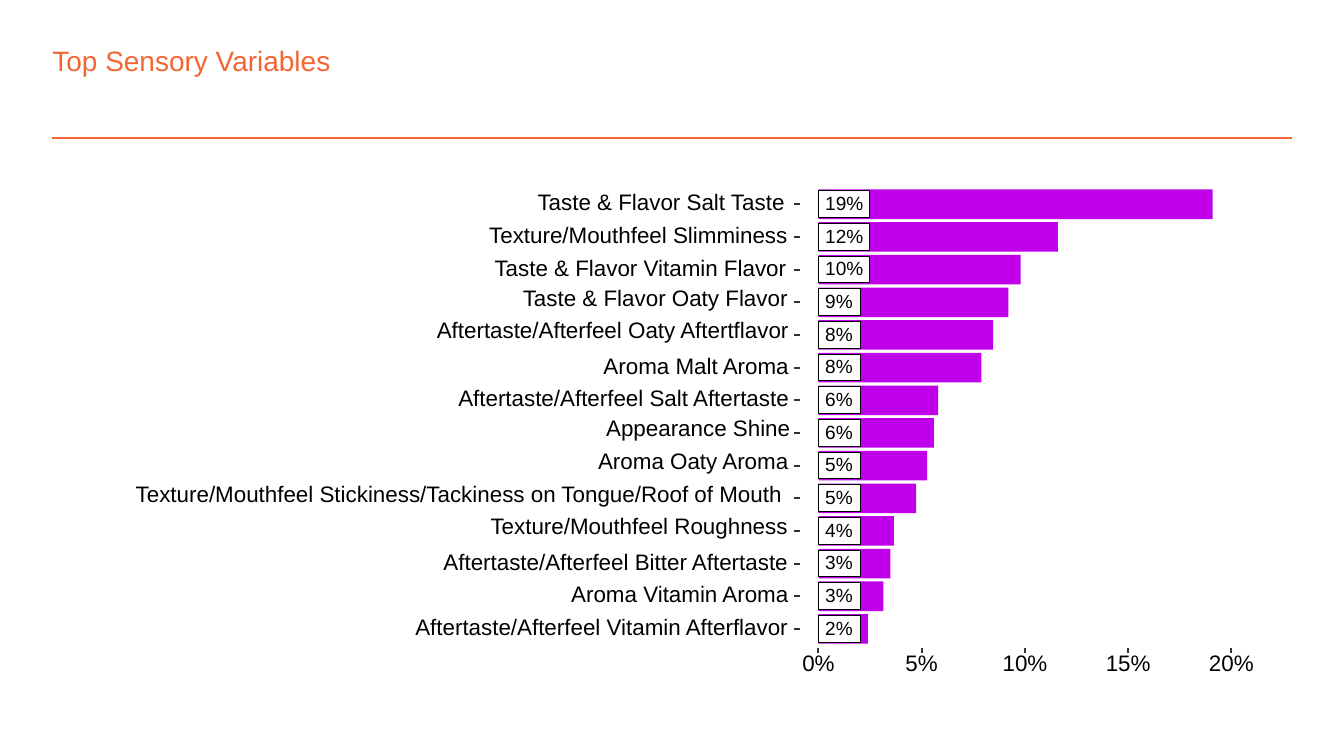
from pptx import Presentation
from pptx.dml.color import RGBColor
from pptx.enum.shapes import MSO_CONNECTOR, MSO_SHAPE
from pptx.enum.text import MSO_ANCHOR, PP_ALIGN
from pptx.oxml.ns import qn
from pptx.util import Inches, Pt

LINE = MSO_CONNECTOR.STRAIGHT
RECT = MSO_SHAPE.RECTANGLE
TOP, MIDDLE = MSO_ANCHOR.TOP, MSO_ANCHOR.MIDDLE
LEFT = PP_ALIGN.LEFT

ORANGE = RGBColor(0xF3, 0x66, 0x33)
PURPLE = RGBColor(0xC0, 0x00, 0xEB)
WHITE = RGBColor(0xFF, 0xFF, 0xFF)
BLACK = RGBColor(0x00, 0x00, 0x00)
GREY = RGBColor(0x33, 0x33, 0x33)

ZERO = 6.09
SCALE = 3.07 / 20
FIRST = 1.52
STEP = 3.16 / 13
EDGE = 5.88
SLACK = 0.02

ROWS = [
    ("Taste & Flavor Salt Taste", 1.88, 19.1),
    ("Texture/Mouthfeel Slimminess", 2.24, 11.6),
    ("Taste & Flavor Vitamin Flavor", 2.2, 9.8),
    ("Taste & Flavor Oaty Flavor", 1.99, 9.2),
    ("Aftertaste/Afterfeel Oaty Aftertflavor", 2.63, 8.47),
    ("Aroma Malt Aroma", 1.39, 7.9),
    ("Aftertaste/Afterfeel Salt Aftertaste", 2.47, 5.8),
    ("Appearance Shine", 1.37, 5.6),
    ("Aroma Oaty Aroma", 1.43, 5.27),
    ("Texture/Mouthfeel Stickiness/Tackiness on Tongue/Roof of Mouth", 4.87, 4.74),
    ("Texture/Mouthfeel Roughness", 2.23, 3.65),
    ("Aftertaste/Afterfeel Bitter Aftertaste", 2.58, 3.48),
    ("Aroma Vitamin Aroma", 1.63, 3.15),
    ("Aftertaste/Afterfeel Vitamin Afterflavor", 2.79, 2.4),
]


def set_text(shape, text, size, color, anchor):
    frame = shape.text_frame
    frame.margin_left = frame.margin_right = 0
    frame.margin_top = frame.margin_bottom = 0
    frame.vertical_anchor = anchor
    frame.text = text
    para = frame.paragraphs[0]
    para.alignment = LEFT
    para.font.name = "Arial"
    para.font.size = Pt(size)
    para.font.color.rgb = color
    return frame


def add_title(slide, text):
    title = slide.shapes.title
    title.left, title.top = Inches(0.39), Inches(0.32)
    title.width, title.height = Inches(8.29), Inches(0.25)
    set_text(title, text, 15, ORANGE, TOP)


def add_label(slide, text, left, top, width, height, size):
    box = slide.shapes.add_textbox(
        Inches(left), Inches(top), Inches(width + SLACK), Inches(height))
    frame = set_text(box, text, size, BLACK, MIDDLE)
    frame.word_wrap = False
    frame.paragraphs[0].line_spacing = Pt(size)


def add_rect(slide, left, top, width, height, fill, line=None, weight=1):
    rect = slide.shapes.add_shape(
        RECT, Inches(left), Inches(top), Inches(width), Inches(height))
    rect.shadow.inherit = False
    rect.fill.solid()
    rect.fill.fore_color.rgb = fill
    if line is None:
        rect.line.fill.background()
    else:
        rect.line.color.rgb = line
        rect.line.width = Pt(weight)


def add_line(slide, x1, y1, x2, y2, color, weight):
    line = slide.shapes.add_connector(
        LINE, Inches(x1), Inches(y1), Inches(x2), Inches(y2))
    line.line.color.rgb = color
    line.line.width = Pt(weight)
    props = line._element.spPr
    props.append(props.makeelement(qn("a:effectLst"), {}))


def add_row(slide, mid, name, width, share):
    add_rect(slide, ZERO, mid - 0.11, share * SCALE, 0.22, PURPLE)
    tag = f"{share:.0f}%"
    span = 0.28 if len(tag) == 3 else 0.21
    add_rect(slide, ZERO, mid - 0.1, span + 0.1, 0.2, WHITE, BLACK, 0.53)
    add_label(slide, tag, ZERO + 0.05, mid - 0.05, span, 0.11, 10.2)
    deep = any(letter in name for letter in "gpy")
    rise, height = (0.1, 0.16) if deep else (0.06, 0.12)
    add_label(slide, name, EDGE - width, mid - rise, width, height, 12)
    add_line(slide, 5.91, mid, 5.95, mid, GREY, 1.07)


def add_axis(slide):
    for value in range(0, 21, 5):
        x = ZERO + value * SCALE
        add_line(slide, x, 4.82, x, 4.86, GREY, 1.07)
        width = 0.33 if value >= 10 else 0.24
        add_label(slide, f"{value}%", x - width / 2, 4.88, width, 0.13, 12)


def main():
    deck = Presentation()
    deck.slide_width = Inches(10)
    deck.slide_height = Inches(10 * 9 / 16)
    slide = deck.slides.add_slide(deck.slide_layouts[5])
    add_line(slide, 0.39, 1.03, 9.61, 1.03, ORANGE, 1)
    add_title(slide, "Top Sensory Variables")
    add_rect(slide, 0.75, 1.3, 8.5, 4, WHITE, WHITE, 1.07)
    for index, row in enumerate(ROWS):
        add_row(slide, FIRST + index * STEP, *row)
    add_axis(slide)
    deck.save("out.pptx")


if __name__ == "__main__":
    main()
